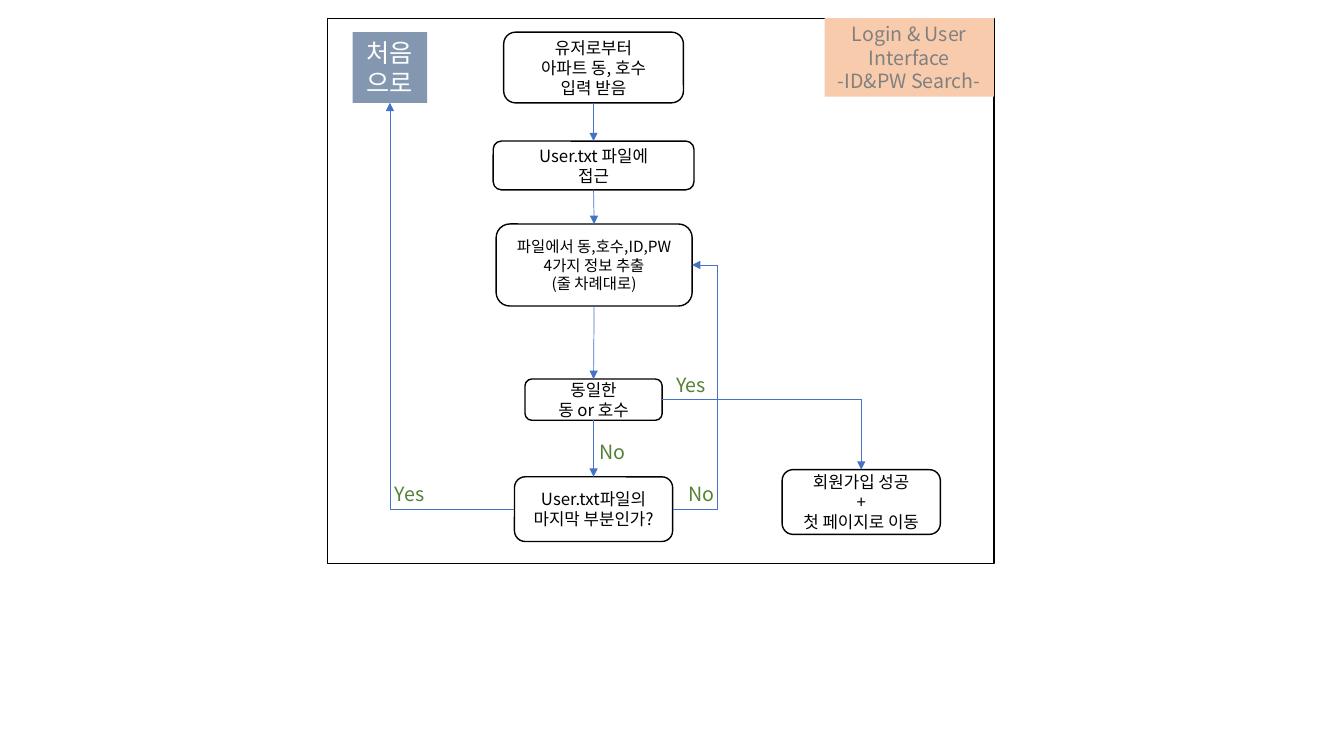
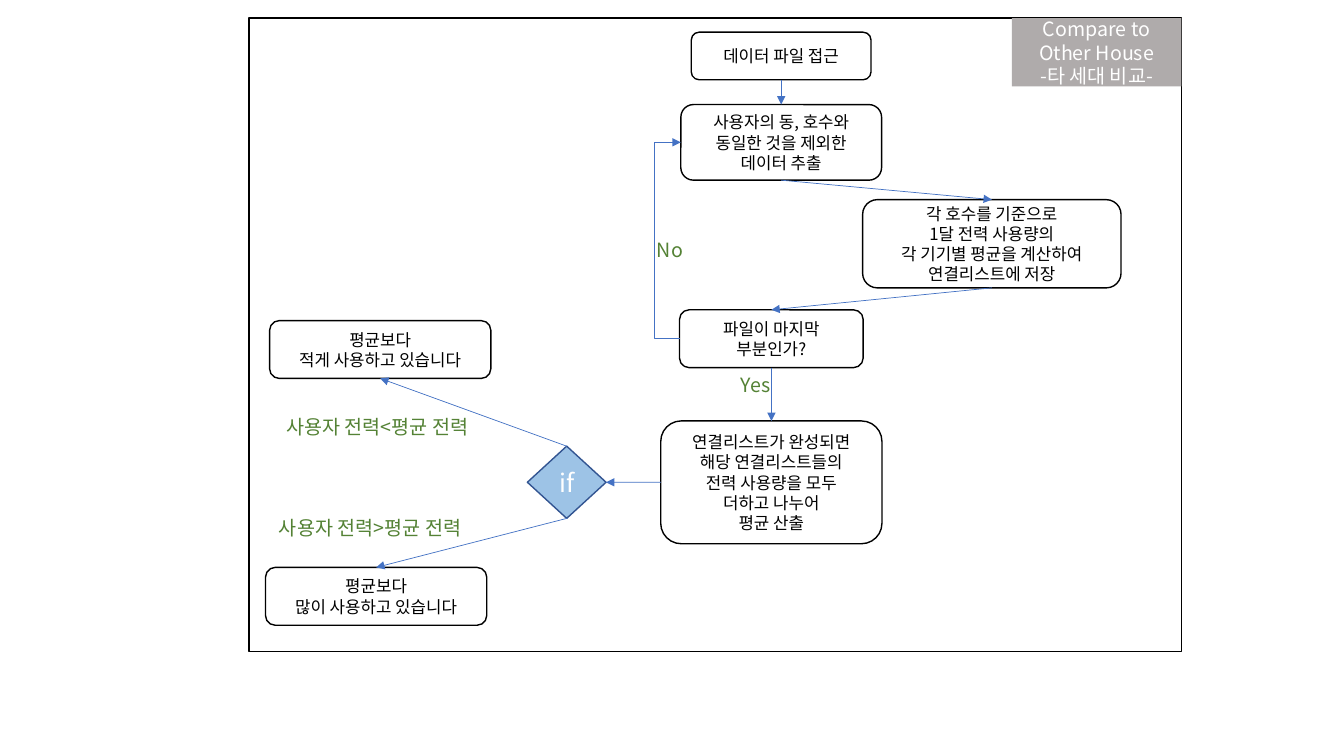
from lxml import etree
from pptx import Presentation
from pptx.dml.color import RGBColor
from pptx.enum.shapes import MSO_CONNECTOR as Connector
from pptx.enum.shapes import MSO_SHAPE as Shape
from pptx.enum.text import MSO_ANCHOR as Anchor
from pptx.enum.text import PP_ALIGN as Align
from pptx.oxml.ns import qn
from pptx.util import Pt

BLACK = RGBColor(0x00, 0x00, 0x00)
WHITE = RGBColor(0xFF, 0xFF, 0xFF)
GRAY = RGBColor(0x80, 0x80, 0x80)
SILVER = RGBColor(0xAF, 0xAB, 0xAB)
PEACH = RGBColor(0xF8, 0xCB, 0xAD)
SLATE = RGBColor(0x84, 0x97, 0xB0)
SKY = RGBColor(0x9D, 0xC3, 0xE6)
NAVY = RGBColor(0x32, 0x54, 0x91)
BLUE = RGBColor(0x44, 0x72, 0xC4)
GREEN = RGBColor(0x54, 0x82, 0x35)

FONT = "Noto Sans CJK KR"
FRAME_TOP = 13
TAG_WIDTH = 121
LABEL_HEIGHT = 24.5
TOP, LEFT, BOTTOM, RIGHT = range(4)  # connection sites

# Looks of a box: preset, fill, line, text colour, text size
STEP = (Shape.ROUNDED_RECTANGLE, None, BLACK, BLACK, 12)
SMALL_STEP = (Shape.ROUNDED_RECTANGLE, None, BLACK, BLACK, 11)
HOME = (Shape.RECTANGLE, SLATE, None, WHITE, 18)
DECISION = (Shape.FLOWCHART_DECISION, SKY, NAVY, WHITE, 18)
FRAME = (Shape.RECTANGLE, None, BLACK, BLACK, 12)
SEARCH_TAG = (Shape.RECTANGLE, PEACH, None, GRAY, 14)
COMPARE_TAG = (Shape.RECTANGLE, SILVER, None, WHITE, 14)

# frame: left, width, height        tag: look, height, lines
# boxes: look, centre x, top, width, height, lines
# arrows: from, site, to, site, and for a bent one its turning x
# labels: left, top, width, text
ID_SEARCH = {
    "frame": (234, 476, 389.5),
    "tag": (SEARCH_TAG, 56, ["Login & User", "Interface", "-ID&PW Search-"]),
    "boxes": {
        "home": (HOME, 278.6, 23, 53.3, 50.5, ["처음으로"]),
        "input": (STEP, 424, 23, 128.4, 50.5,
                  ["유저로부터", "아파트 동, 호수", "입력 받음"]),
        "access": (STEP, 424, 100.8, 143.4, 34.8, ["User.txt 파일에", "접근"]),
        "extract": (SMALL_STEP, 424.4, 160, 140, 58.6,
                    ["파일에서 동,호수,ID,PW", "4가지 정보 추출", "(줄 차례대로)"]),
        "same": (STEP, 424, 270.7, 98, 29.5, ["동일한", "동 or 호수"]),
        "last": (STEP, 424, 340.6, 113, 46.2,
                 ["User.txt파일의", "마지막 부분인가?"]),
        "done": (STEP, 615.2, 335.5, 113, 46.2,
                 ["회원가입 성공", "+", "첫 페이지로 이동"]),
    },
    "arrows": [
        ("input", BOTTOM, "access", TOP),
        ("access", BOTTOM, "extract", TOP),
        ("extract", BOTTOM, "same", TOP),
        ("same", BOTTOM, "last", TOP),
        ("last", LEFT, "home", BOTTOM, 278.6),
        ("last", RIGHT, "extract", RIGHT, 512.2),
        ("same", RIGHT, "done", TOP, 615.2),
    ],
    "labels": [
        (421.2, 311, 38, "No"),
        (476, 262.8, 38, "Yes"),
        (275, 340.6, 38, "Yes"),
        (484.6, 340.6, 38, "No"),
    ],
}
HOUSE_COMPARISON = {
    "frame": (177.8, 666, 452.3),
    "tag": (COMPARE_TAG, 48.8, ["Compare to", "Other House", "-타 세대 비교-"]),
    "boxes": {
        "open": (STEP, 558, 23, 128.4, 34, ["데이터 파일 접근"]),
        "extract": (STEP, 558, 74.7, 143.4, 54,
                    ["사용자의 동, 호수와", "동일한 것을 제외한", "데이터 추출"]),
        "store": (STEP, 708.5, 142.6, 184.6, 63,
                  ["각 호수를 기준으로", "1달 전력 사용량의",
                   "각 기기별 평균을 계산하여", "연결리스트에 저장"]),
        "last": (STEP, 551, 221.3, 131.2, 41.3, ["파일이 마지막", "부분인가?"]),
        "average": (STEP, 551, 300.7, 158, 87.7,
                    ["연결리스트가 완성되면", "해당 연결리스트들의",
                     "전력 사용량을 모두", "더하고 나누어", "평균 산출"]),
        "if": (DECISION, 404.8, 318.7, 56.2, 51.6, ["if"]),
        "less": (STEP, 271.6, 229, 158, 41.3,
                 ["평균보다", "적게 사용하고 있습니다"]),
        "more": (STEP, 268.7, 405.3, 158, 41.3,
                 ["평균보다", "많이 사용하고 있습니다"]),
    },
    "arrows": [
        ("open", BOTTOM, "extract", TOP),
        ("extract", BOTTOM, "store", TOP),
        ("store", BOTTOM, "last", TOP),
        ("last", LEFT, "extract", LEFT, 467.3),
        ("last", BOTTOM, "average", TOP),
        ("average", LEFT, "if", RIGHT),
        ("if", TOP, "less", BOTTOM),
        ("if", BOTTOM, "more", TOP),
    ],
    "labels": [
        (522, 262.8, 38, "Yes"),
        (462.2, 166.3, 38, "No"),
        (192.2, 365, 170, "사용자 전력>평균 전력"),
        (197.3, 293, 170, "사용자 전력<평균 전력"),
    ],
}


def write_lines(text_frame, lines, size, color, align):
    text_frame.word_wrap = True
    for index, line in enumerate(lines):
        paragraph = text_frame.add_paragraph() if index else text_frame.paragraphs[0]
        paragraph.text = line
        paragraph.alignment = align
        font = paragraph.font
        font.size = Pt(size)
        font.color.rgb = color
        font.name = FONT
        defaults = paragraph._p.pPr.find(qn("a:defRPr"))
        etree.SubElement(defaults, qn("a:ea"), typeface=FONT)


def add_box(slide, look, left, top, width, height, lines=()):
    preset, fill, line, text_color, size = look
    shape = slide.shapes.add_shape(preset, Pt(left), Pt(top), Pt(width), Pt(height))
    shape.shadow.inherit = False
    if fill is None:
        shape.fill.background()
    else:
        shape.fill.solid()
        shape.fill.fore_color.rgb = fill
    if line is None:
        shape.line.fill.background()
    else:
        shape.line.color.rgb = line
        shape.line.width = Pt(1)
    shape.text_frame.vertical_anchor = Anchor.MIDDLE
    write_lines(shape.text_frame, lines, size, text_color, Align.CENTER)
    return shape


def site_point(shape, site):
    """Return the middle of the given side of a shape."""
    across = {LEFT: 0, RIGHT: shape.width}.get(site, shape.width // 2)
    down = {TOP: 0, BOTTOM: shape.height}.get(site, shape.height // 2)
    return shape.left + across, shape.top + down


def bend(connector, start, end, turn):
    """Turn once when the turning x is the end's own x, otherwise twice."""
    geometry = connector._element.spPr.find(qn("a:prstGeom"))
    if abs(Pt(turn) - end[0]) < Pt(1):
        geometry.set("prst", "bentConnector2")
        return
    share = (Pt(turn) - start[0]) / (end[0] - start[0])
    guides = geometry.find(qn("a:avLst"))
    if guides is None:
        guides = etree.SubElement(geometry, qn("a:avLst"))
    etree.SubElement(guides, qn("a:gd"), name="adj1", fmla=f"val {round(share * 100000)}")


def add_arrow(slide, source, source_site, target, target_site, turn=None):
    start, end = site_point(source, source_site), site_point(target, target_site)
    kind = Connector.STRAIGHT if turn is None else Connector.ELBOW
    connector = slide.shapes.add_connector(kind, *start, *end)
    connector.begin_connect(source, source_site)
    connector.end_connect(target, target_site)
    if turn is not None:
        bend(connector, start, end, turn)
    connector.line.color.rgb = BLUE
    connector.line.width = Pt(0.5)
    properties = connector._element.spPr
    etree.SubElement(properties.find(qn("a:ln")), qn("a:tailEnd"), type="triangle")
    etree.SubElement(properties, qn("a:effectLst"))


def add_flowchart(presentation, chart):
    slide = presentation.slides.add_slide(presentation.slide_layouts[6])
    left, width, height = chart["frame"]
    add_box(slide, FRAME, left, FRAME_TOP, width, height)
    look, tag_height, lines = chart["tag"]
    add_box(slide, look, left + width - TAG_WIDTH, FRAME_TOP, TAG_WIDTH, tag_height, lines)

    boxes = {}
    for name, (look, center, top, width, height, lines) in chart["boxes"].items():
        boxes[name] = add_box(slide, look, center - width / 2, top, width, height, lines)
    for source, source_site, target, target_site, *turn in chart["arrows"]:
        add_arrow(slide, boxes[source], source_site, boxes[target], target_site, *turn)
    for left, top, width, text in chart["labels"]:
        label = slide.shapes.add_textbox(Pt(left), Pt(top), Pt(width), Pt(LABEL_HEIGHT))
        write_lines(label.text_frame, [text], 14, GREEN, Align.LEFT)


def main():
    presentation = Presentation()
    presentation.slide_width, presentation.slide_height = Pt(960), Pt(540)
    for chart in (ID_SEARCH, HOUSE_COMPARISON):
        add_flowchart(presentation, chart)
    presentation.save("out.pptx")


if __name__ == "__main__":
    main()
